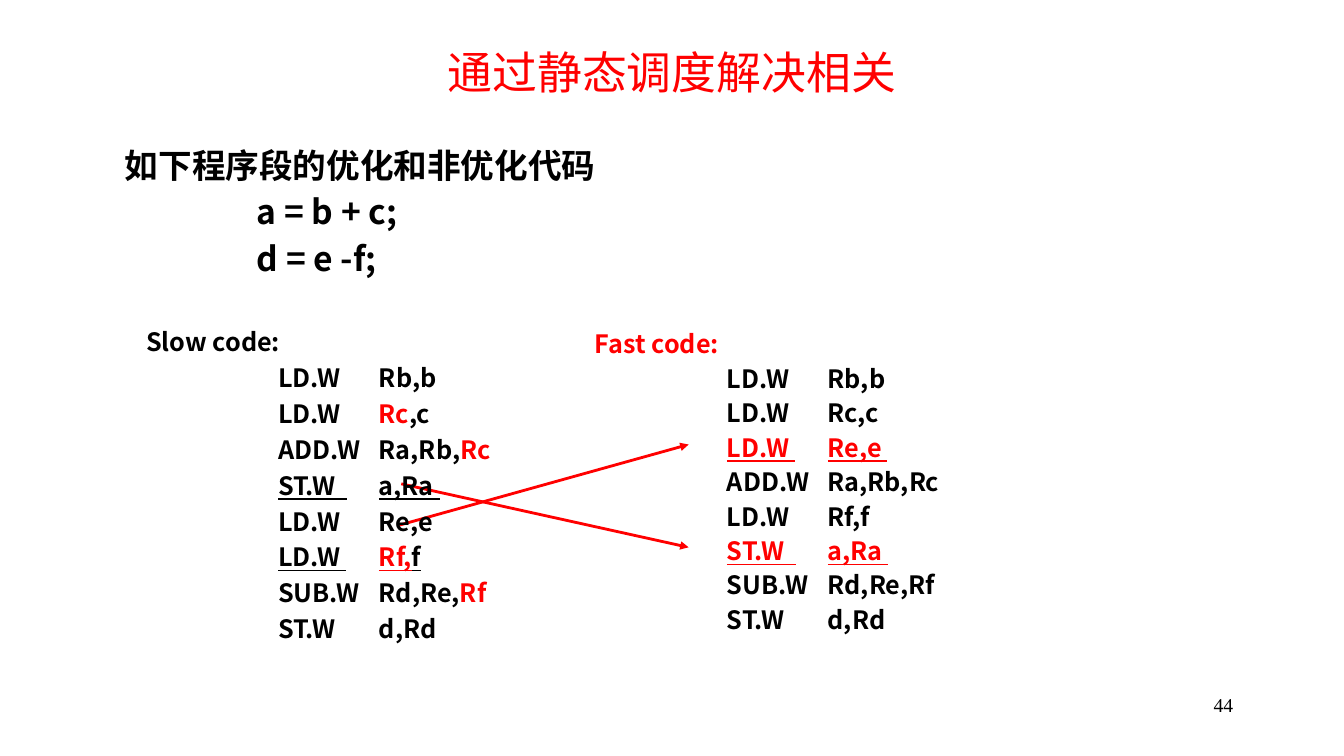
from lxml.etree import SubElement
from pptx import Presentation
from pptx.dml.color import RGBColor
from pptx.enum.shapes import MSO_CONNECTOR
from pptx.enum.text import MSO_ANCHOR, MSO_AUTO_SIZE, PP_ALIGN
from pptx.oxml.ns import qn
from pptx.util import Inches, Pt

COLORS = {"black": "000000", "red": "FF0000"}
CODE_FONT = "Noto Sans CJK SC"
INDENT = Inches(0.31)
TAB = Inches(1)

INTRO = ["如下程序段的优化和非优化代码", "\t\ta = b + c;", "\t\td = e -f;"]

SLOW_CODE = [
    "Slow code:",
    "\t\tLD.W \tRb,b",
    ["\t\tLD.W \t", ("Rc", "red"), ",c"],
    ["\t\tADD.W \tRa,Rb,", ("Rc", "red")],
    ["\t\t", ("ST.W  \ta,Ra ", "black", True)],
    "\t\tLD.W \tRe,e",
    ["\t\t", ("LD.W \t", "black", True), ("Rf,", "red", True), ("f", "black", True)],
    ["\t\tSUB.W \tRd,Re,", ("Rf", "red")],
    "\t\tST.W\td,Rd",
]

FAST_CODE = [
    [("Fast code:", "red")],
    "\t\tLD.W \tRb,b",
    "\t\tLD.W \tRc,c",
    ["\t\t", ("LD.W \tRe,e ", "red", True)],
    "\t\tADD.W \tRa,Rb,Rc",
    "\t\tLD.W \tRf,f",
    ["\t\t", ("ST.W  \ta,Ra ", "red", True)],
    "\t\tSUB.W \tRd,Re,Rf",
    "\t\tST.W\td,Rd",
]


def rgb(name):
    return RGBColor.from_string(COLORS[name])


def place(shape, left, top, width, height):
    shape.left, shape.top = Inches(left), Inches(top)
    shape.width, shape.height = Inches(width), Inches(height)
    shape.text_frame.word_wrap = True
    shape.text_frame.auto_size = MSO_AUTO_SIZE.NONE


def add_textbox(slide, left, top, width, height):
    shape = slide.shapes.add_textbox(0, 0, 0, 0)
    place(shape, left, top, width, height)
    return shape


def add_text(paragraph, text, size, color="black", font=CODE_FONT, bold=False, underline=False):
    run = paragraph.add_run()
    run.text = text
    run.font.size = Pt(size)
    run.font.bold = bold
    run.font.underline = underline
    run.font.color.rgb = rgb(color)
    run.font.name = font
    if font == CODE_FONT:
        latin = run.font._element.find(qn("a:latin"))
        east_asian = latin.makeelement(qn("a:ea"), {"typeface": font})
        latin.addnext(east_asian)


def write_lines(shape, lines, size, line_spacing, space_before):
    frame = shape.text_frame
    frame.vertical_anchor = MSO_ANCHOR.TOP
    for index, line in enumerate(lines):
        paragraph = frame.add_paragraph() if index else frame.paragraphs[0]
        paragraph.alignment = PP_ALIGN.LEFT
        paragraph.line_spacing = Pt(line_spacing)
        paragraph.space_before = Pt(space_before if index else 0)
        paragraph.space_after = Pt(0)
        properties = paragraph._p.get_or_add_pPr()
        properties.set("marL", str(INDENT))
        properties.set("indent", str(-INDENT))
        properties.set("defTabSz", str(TAB))
        SubElement(properties, qn("a:buNone"))
        for part in [line] if isinstance(line, str) else line:
            text, color, underline = ((part,) if isinstance(part, str) else part) + (
                "black", False)[max(0, (1 if isinstance(part, str) else len(part)) - 1):]
            add_text(paragraph, text, size, color=color, bold=True, underline=underline)


def add_arrow(slide, start, end):
    points = [Inches(value) for value in start + end]
    arrow = slide.shapes.add_connector(MSO_CONNECTOR.STRAIGHT, *points)
    arrow.line.color.rgb = rgb("red")
    arrow.line.width = Pt(2)
    SubElement(arrow.line._get_or_add_ln(), qn("a:tailEnd"), type="triangle")
    SubElement(arrow._element.spPr, qn("a:effectLst"))


def main():
    presentation = Presentation()
    presentation.slide_width = Inches(13.33)
    presentation.slide_height = Inches(7.5)
    slide = presentation.slides.add_slide(presentation.slide_layouts[1])

    number = add_textbox(slide, 9.55, 6.83, 2.78, 0.5)
    number_paragraph = number.text_frame.paragraphs[0]
    number_paragraph.alignment = PP_ALIGN.RIGHT
    add_text(number_paragraph, "44", 14, font="Times New Roman")

    title = slide.shapes.title
    place(title, 1, 0.29, 11.33, 0.84)
    title.text_frame.vertical_anchor = MSO_ANCHOR.MIDDLE
    title_paragraph = title.text_frame.paragraphs[0]
    title_paragraph.alignment = PP_ALIGN.CENTER
    add_text(title_paragraph, "通过静态调度解决相关", 32, color="red", font="Arial")

    intro = add_textbox(slide, 1.14, 1.43, 9.17, 1.4)
    write_lines(intro, INTRO, 24, line_spacing=25.9, space_before=7.2)

    fast_code = slide.placeholders[1]
    place(fast_code, 5.8, 3.21, 5.22, 3.4)
    write_lines(fast_code, FAST_CODE, 18, line_spacing=21.6, space_before=3)

    add_arrow(slide, (3.98, 4.8), (6.83, 5.43))
    add_arrow(slide, (3.96, 5.21), (6.83, 4.41))

    slow_code = add_textbox(slide, 1.35, 3.16, 4.69, 3.44)
    write_lines(slow_code, SLOW_CODE, 18, line_spacing=23.8, space_before=1.8)

    presentation.save("out.pptx")


if __name__ == "__main__":
    main()
